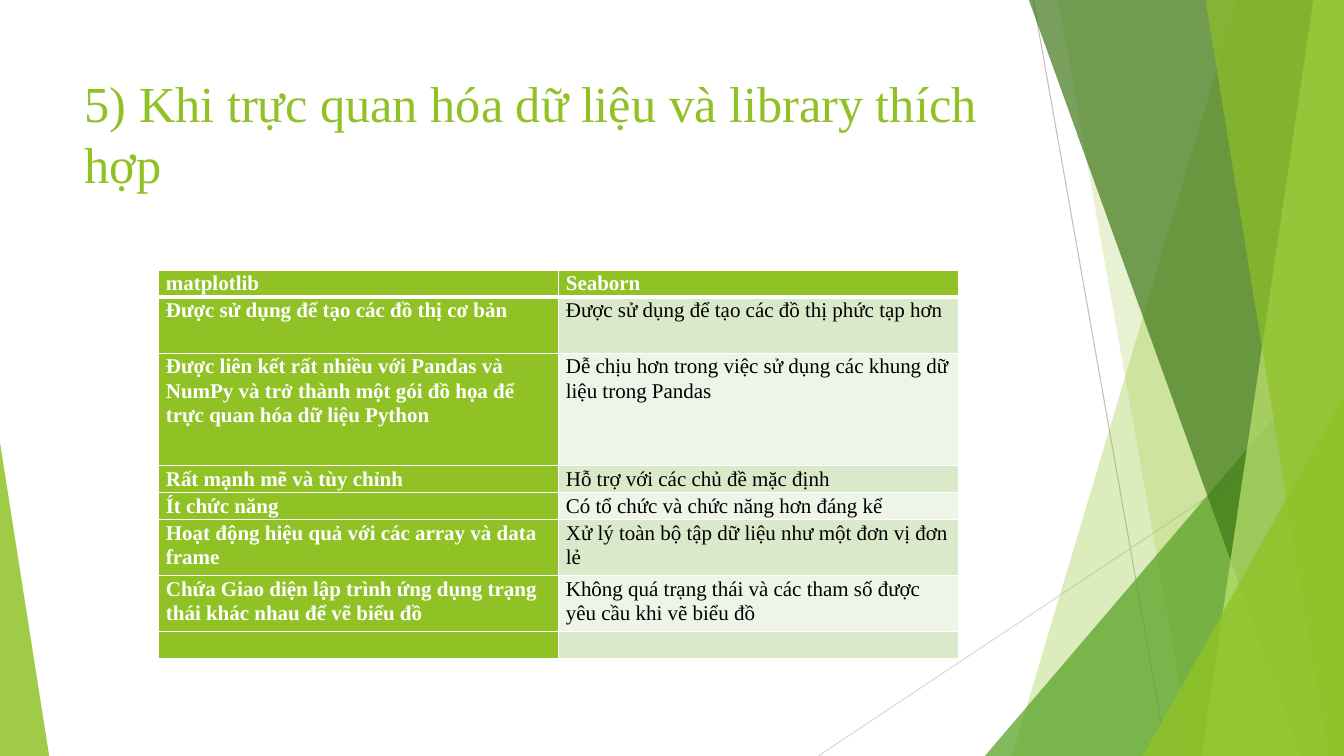
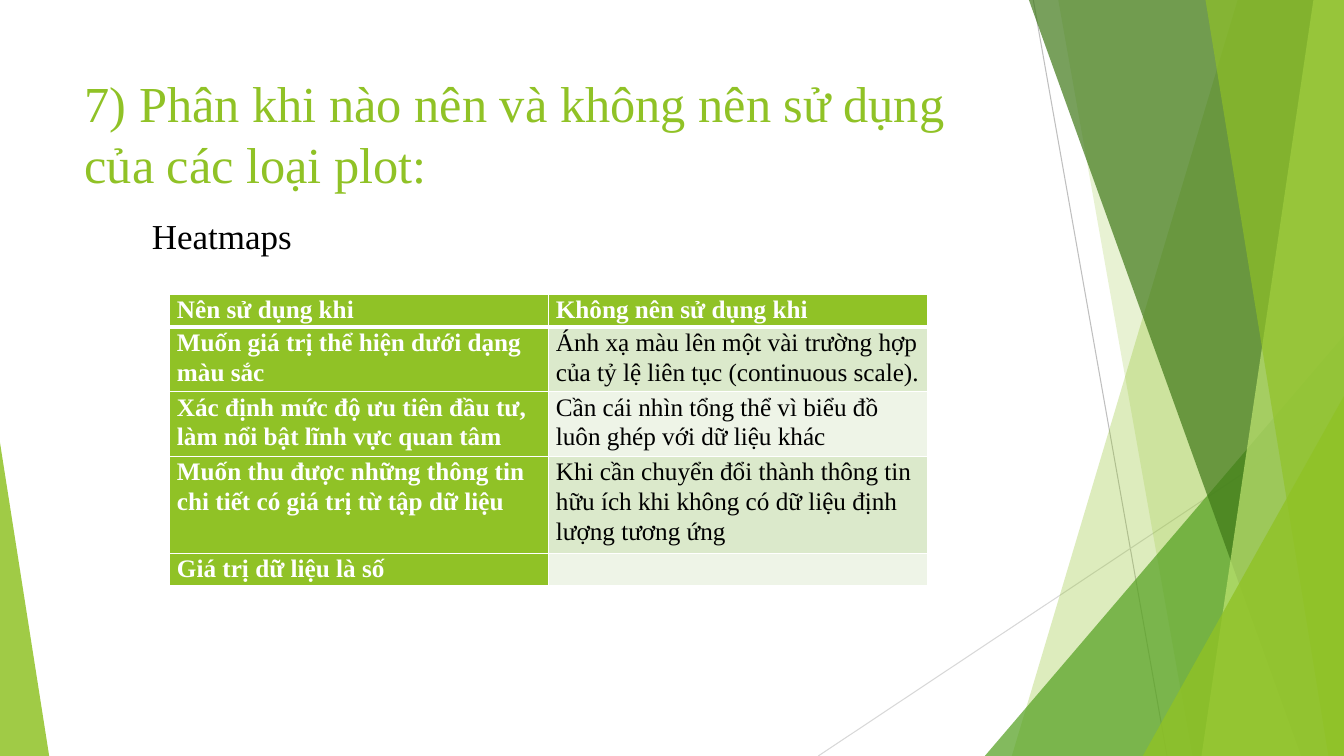
from dataclasses import dataclass
from lxml import etree
from pptx import Presentation
from pptx.dml.color import RGBColor
from pptx.enum import shapes
from pptx.oxml import ns
from pptx.util import Cm, Pt


@dataclass(frozen=True)
class Theme:
    font: str = "Times New Roman"
    lime: str = "90C226"
    green: str = "54A021"
    forest: str = "3F7818"
    pale: str = "BFE471"
    white: str = "FFFFFF"
    black: str = "000000"
    grey: str = "BFBFBF"
    silver: str = "D8D8D8"
    bands: tuple = ("DBE9CB", "EEF4E7")
    title: int = 36
    label: int = 25
    hair: float = 0.75
    rule: int = 1
    heavy: int = 3
    wide: float = 33.87
    high: float = 19.05


class Deck:
    def __init__(self, theme):
        self.theme = theme
        self.file = Presentation()
        self.file.slide_width = Cm(theme.wide)
        self.file.slide_height = Cm(theme.high)
        self.slide = None

    def start(self, title):
        t = self.theme
        self.slide = self.file.slides.add_slide(self.file.slide_layouts[6])
        self.line(26.04, 0, 29.41, t.high, t.grey)
        self.line(t.wide, 10.24, 20.62, t.high, t.silver)
        self.facet(31.19, 25.5, t.lime, 30)
        self.facet(26.67, 30.05, t.lime, 20)
        self.wedge(24.82, 8.46, 9.05, 1, t.green, 72)
        self.facet(25.93, 32.79, t.forest, 70)
        self.facet(33.1, 30.28, t.pale, 70)
        self.facet(30.38, 33.48, t.lime, 65)
        self.wedge(28.8, 9.98, 5.07, 1, t.lime, 80)
        self.wedge(0, 11.15, 1.24, 0, t.lime, 85)
        self.text(title, 1.88, 1.7, 23.88, 3.66, t.title, t.lime)

    def line(self, x1, y1, x2, y2, color):
        line = self.slide.shapes.add_connector(
            shapes.MSO_CONNECTOR.STRAIGHT, Cm(x1), Cm(y1), Cm(x2), Cm(y2))
        line.line.color.rgb = RGBColor.from_string(color)
        line.line.width = Pt(self.theme.hair)
        etree.SubElement(line._element.spPr, ns.qn("a:effectLst"))

    def paint(self, shape, color, alpha):
        shape.shadow.inherit = False
        shape.line.fill.background()
        shape.fill.solid()
        shape.fill.fore_color.rgb = RGBColor.from_string(color)
        tone = shape._element.spPr.find(".//" + ns.qn("a:srgbClr"))
        etree.SubElement(tone, ns.qn("a:alpha"), val=str(alpha * 1000))

    def facet(self, top, base, color, alpha):
        right, foot = Cm(self.theme.wide), Cm(self.theme.high)
        pen = self.slide.shapes.build_freeform(Cm(top), 0)
        pen.add_line_segments([(right, 0), (right, foot), (Cm(base), foot)])
        self.paint(pen.convert_to_shape(), color, alpha)

    def wedge(self, x, y, width, peak, color, alpha):
        shape = self.slide.shapes.add_shape(
            shapes.MSO_SHAPE.ISOSCELES_TRIANGLE,
            Cm(x), Cm(y), Cm(width), Cm(self.theme.high - y))
        shape.adjustments[0] = peak
        self.paint(shape, color, alpha)

    def style(self, para, size, color, bold=False):
        para.font.name = self.theme.font
        para.font.size = Pt(size)
        para.font.bold = bold
        para.font.color.rgb = RGBColor.from_string(color)

    def text(self, words, x, y, width, height, size, color):
        box = self.slide.shapes.add_textbox(Cm(x), Cm(y), Cm(width), Cm(height))
        box.text_frame.word_wrap = True
        box.text_frame.text = words
        self.style(box.text_frame.paragraphs[0], size, color)

    def border(self, cell, head):
        t = self.theme
        props = cell._tc.get_or_add_tcPr()
        for spot, side in enumerate(("lnL", "lnR", "lnT", "lnB")):
            width = t.heavy if head and side == "lnB" else t.rule
            edge = etree.Element(ns.qn("a:" + side), w=str(Pt(width)))
            fill = etree.SubElement(edge, ns.qn("a:solidFill"))
            etree.SubElement(fill, ns.qn("a:srgbClr"), val=t.white)
            props.insert(spot, edge)

    def table(self, rows, x, y, width, heights, size):
        t = self.theme
        grid = self.slide.shapes.add_table(
            len(rows), 2, Cm(x), Cm(y), Cm(2 * width), Cm(sum(heights))).table
        for col in grid.columns:
            col.width = Cm(width)
        for r, (row, height) in enumerate(zip(rows, heights)):
            grid.rows[r].height = Cm(height)
            for c, words in enumerate(row):
                cell = grid.cell(r, c)
                strong = r == 0 or c == 0
                cell.margin_left = cell.margin_right = Cm(0.19)
                cell.margin_top = cell.margin_bottom = 0
                cell.fill.solid()
                cell.fill.fore_color.rgb = RGBColor.from_string(
                    t.lime if strong else t.bands[(r - 1) % 2])
                self.border(cell, r == 0)
                cell.text = words
                para = cell.text_frame.paragraphs[0]
                para.line_spacing = 1.07
                self.style(para, size, t.white if strong else t.black, strong)


theme = Theme()
deck = Deck(theme)

deck.start("5) Khi trực quan hóa dữ liệu và library thích hợp")
tools = [
    ("matplotlib", "Seaborn"),
    ("Được sử dụng để tạo các đồ thị cơ bản",
     "Được sử dụng để tạo các đồ thị phức tạp hơn"),
    ("Được liên kết rất nhiều với Pandas và NumPy và trở thành một gói đồ họa "
     "để trực quan hóa dữ liệu Python",
     "Dễ chịu hơn trong việc sử dụng các khung dữ liệu trong Pandas"),
    ("Rất mạnh mẽ và tùy chỉnh", "Hỗ trợ với các chủ đề mặc định"),
    ("Ít chức năng", "Có tổ chức và chức năng hơn đáng kể"),
    ("Hoạt động hiệu quả với các array và data frame",
     "Xử lý toàn bộ tập dữ liệu như một đơn vị đơn lẻ"),
    ("Chứa Giao diện lập trình ứng dụng trạng thái khác nhau để vẽ biểu đồ",
     "Không quá trạng thái và các tham số được yêu cầu khi vẽ biểu đồ"),
    ("", ""),
]
deck.table(tools, 3.99, 6.81, 10.08,
           [0.68, 1.41, 2.84, 0.68, 0.68, 1.41, 1.41, 0.68], 15)

deck.start("7) Phân khi nào nên và không nên sử dụng của các loại plot:")
deck.text("Heatmaps", 3.58, 5.28, 4.09, 1.32, theme.label, theme.black)
uses = [
    ("Nên sử dụng khi", "Không nên sử dụng khi"),
    ("Muốn giá trị thể hiện dưới dạng màu sắc",
     "Ánh xạ màu lên một vài trường hợp của tỷ lệ liên tục (continuous scale)."),
    ("Xác định mức độ ưu tiên đầu tư, làm nổi bật lĩnh vực quan tâm",
     "Cần cái nhìn tổng thể vì biểu đồ luôn ghép với dữ liệu khác"),
    ("Muốn thu được những thông tin chi tiết có giá trị từ tập dữ liệu",
     "Khi cần chuyển đổi thành thông tin hữu ích khi không có dữ liệu "
     "định lượng tương ứng"),
    ("Giá trị dữ liệu là số", ""),
]
deck.table(uses, 4.27, 7.42, 9.55, [0.64] * len(uses), 18)

deck.file.save("out.pptx")
